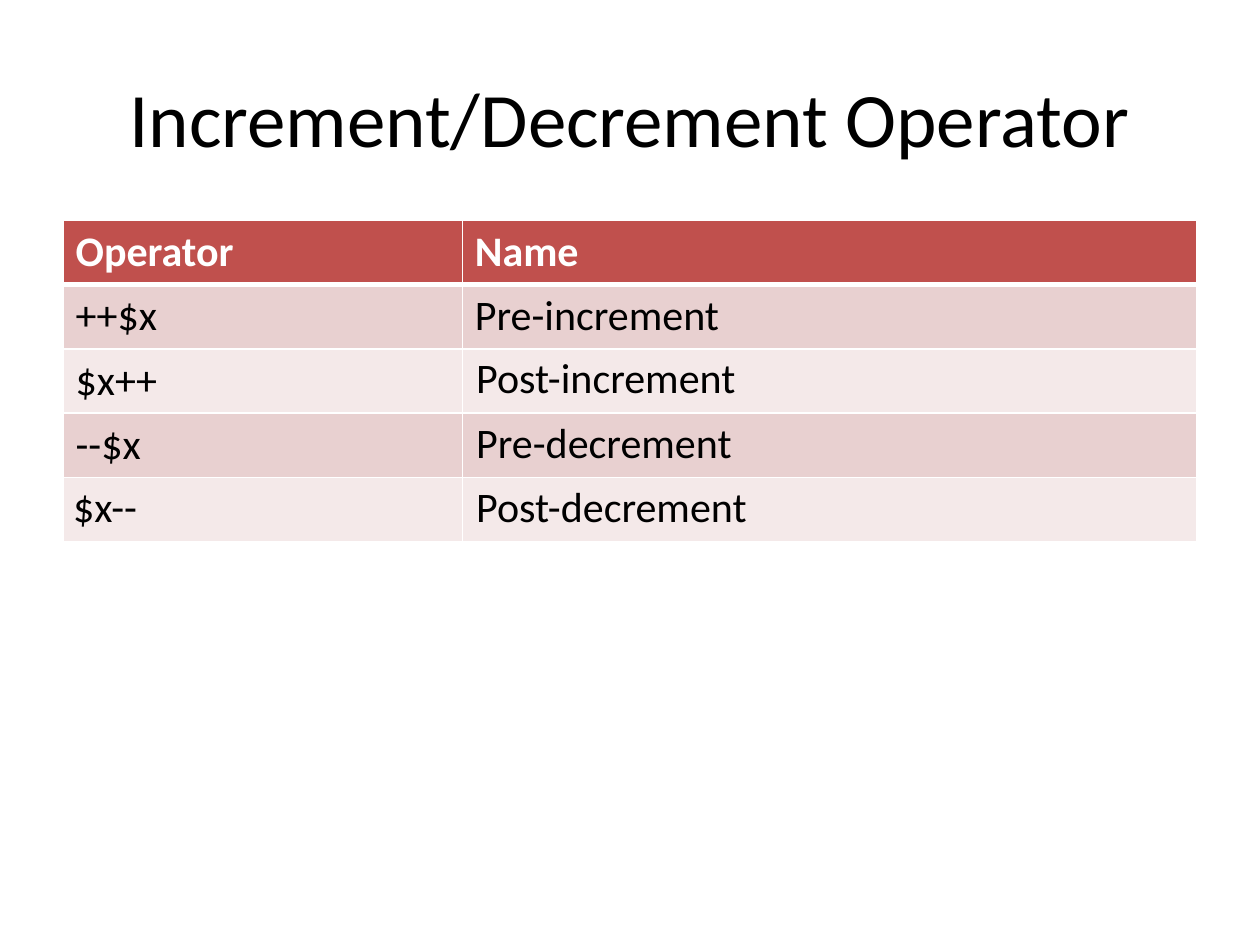
from dataclasses import dataclass

from lxml import etree
from pptx import Presentation
from pptx.dml.color import RGBColor
from pptx.enum.text import MSO_ANCHOR, PP_ALIGN
from pptx.oxml.ns import qn
from pptx.util import Inches, Pt

MIDDLE = MSO_ANCHOR.MIDDLE
CENTER = PP_ALIGN.CENTER
FONT = "Calibri"
WHITE, BLACK = "FFFFFF", "000000"
HEADER_FILL = "C0504D"
BAND_FILLS = ("E8D0D0", "F4E9E9")
COLUMN_WIDTHS = (3.17, 5.83)
ROW_HEIGHT = 0.51
THIN, THICK = 1, 3


@dataclass(frozen=True)
class CellText:
    text: str
    left: float = 0.1
    top: float = 0.05


ROWS = (
    (CellText("Operator"), CellText("Name")),
    (CellText("++$x"), CellText("Pre-increment")),
    (CellText("$x++"), CellText("Post-increment", 0.11, 0.04)),
    (CellText("--$x"), CellText("Pre-decrement", 0.11, 0.04)),
    (CellText("$x--", 0.08, 0.04), CellText("Post-decrement", 0.11, 0.04)),
)


def color(value: str) -> RGBColor:
    return RGBColor.from_string(value)


def format_text(paragraph, size: float, font_color: str, bold: bool = False) -> None:
    for run in paragraph.runs:
        run.font.name = FONT
        run.font.size = Pt(size)
        run.font.bold = bold
        run.font.color.rgb = color(font_color)


def add_borders(cell, top: float, bottom: float) -> None:
    properties = cell._tc.get_or_add_tcPr()
    widths = {"a:lnL": THIN, "a:lnR": THIN, "a:lnT": top, "a:lnB": bottom}
    for index, (tag, width) in enumerate(widths.items()):
        line = etree.Element(qn(tag), w=str(Pt(width)))
        fill = etree.SubElement(line, qn("a:solidFill"))
        etree.SubElement(fill, qn("a:srgbClr"), val=WHITE)
        properties.insert(index, line)


def add_title(slide, text: str) -> None:
    shape = slide.shapes.add_textbox(Inches(0.5), Inches(0.3), Inches(9), Inches(1.25))
    text_frame = shape.text_frame
    text_frame.word_wrap = True
    text_frame.vertical_anchor = MIDDLE
    text_frame.text = text
    paragraph = text_frame.paragraphs[0]
    paragraph.alignment = CENTER
    format_text(paragraph, 44, BLACK)


def fill_cell(cell, content: CellText, row_index: int) -> None:
    is_header = row_index == 0
    cell.margin_left, cell.margin_top = Inches(content.left), Inches(content.top)
    cell.text_frame.text = content.text
    format_text(cell.text_frame.paragraphs[0], 24, WHITE if is_header else BLACK, is_header)
    cell.fill.solid()
    cell.fill.fore_color.rgb = color(HEADER_FILL if is_header else BAND_FILLS[(row_index - 1) % 2])
    add_borders(cell, THICK if row_index == 1 else THIN, THICK if is_header else THIN)


def add_operator_table(slide) -> None:
    frame = slide.shapes.add_table(
        len(ROWS), len(COLUMN_WIDTHS), Inches(0.5), Inches(1.75),
        Inches(sum(COLUMN_WIDTHS)), Inches(ROW_HEIGHT * len(ROWS)),
    )
    table = frame.table
    for column, width in zip(table.columns, COLUMN_WIDTHS):
        column.width = Inches(width)
    for row_index, contents in enumerate(ROWS):
        table.rows[row_index].height = Inches(ROW_HEIGHT)
        for column_index, content in enumerate(contents):
            fill_cell(table.cell(row_index, column_index), content, row_index)


def main() -> None:
    """Build the increment and decrement operator slide."""
    presentation = Presentation()
    presentation.slide_width, presentation.slide_height = Inches(10), Inches(7.5)
    slide = presentation.slides.add_slide(presentation.slide_layouts[6])
    add_title(slide, "Increment/Decrement Operator")
    add_operator_table(slide)
    presentation.save("out.pptx")


if __name__ == "__main__":
    main()
